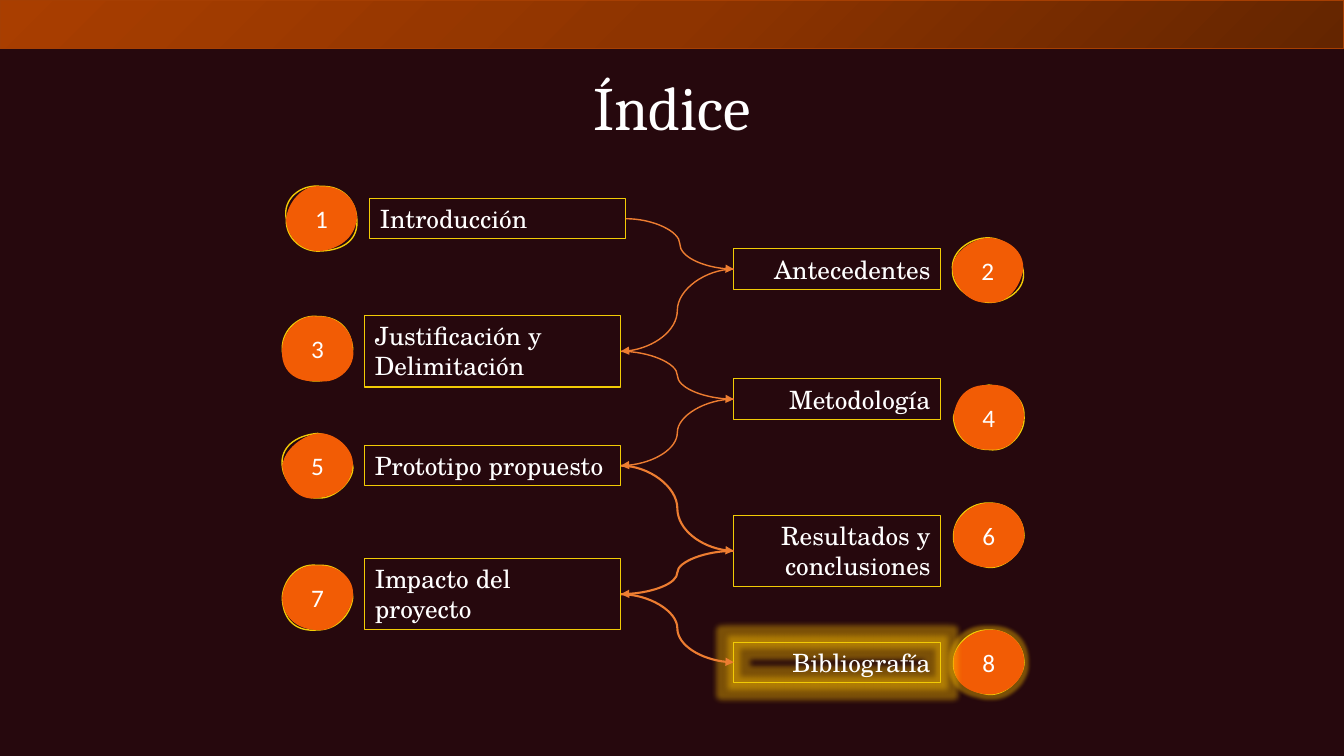
from lxml import etree
from pptx import Presentation
from pptx.dml.color import RGBColor
from pptx.enum.shapes import MSO_CONNECTOR as CONNECTOR, MSO_SHAPE as SHAPE
from pptx.enum.text import MSO_ANCHOR as ANCHOR, MSO_AUTO_SIZE as AUTO, PP_ALIGN as ALIGN
from pptx.oxml import parse_xml
from pptx.oxml.ns import nsdecls, qn
from pptx.util import Emu, Pt

PX = 9144
SLIDE_W, SLIDE_H = 12192000, 750 * PX
BACK, WHITE, ORANGE, YELLOW, ARROW = "26080D", "FFFFFF", "F25C05", "F2CB05", "ED7D31"
BAND_LINE, GLOW = "A63F03", "FFC000"
BAND_STOPS = [(0, "642500"), (50, "8E3400"), (100, "A93E00")]
TITLE = "Índice"

# label, box (left, top, width, height), badge (left, top), glow
ENTRIES = [
    ("Introducción", (367, 197, 254, 40), (284, 185), False),
    ("Antecedentes", (728, 247, 205, 40), (945, 236), False),
    ("Justificación y Delimitación", (362, 313, 254, 71), (280, 314), False),
    ("Metodología", (728, 376, 205, 40), (946, 382), False),
    ("Prototipo propuesto", (362, 442, 254, 40), (280, 430), False),
    ("Resultados y conclusiones", (728, 511, 205, 71), (946, 499), False),
    ("Impacto del proyecto", (362, 554, 254, 71), (280, 561), False),
    ("Bibliografía", (728, 637, 205, 40), (946, 625), True),
]
ARROW_WIDTHS = [1, 1, 1, 1, 1.5, 1.5, 1.5]

BADGE_W, BADGE_H = 70, 64
ANCHORS = [(0, 32), (35, 0), (70, 32), (35, 64)]
# control points of the hand-drawn outline and of the fill, two per quarter
ROUND = ([(0, 19), (12, 0), (54, 0), (69, 12), (70, 46), (53, 65), (14, 61), (-1, 49)],
         [(-1, 17), (17, 0), (53, -2), (71, 13), (71, 48), (54, 64), (17, 63), (-1, 54)])
BLOBS = [
    ([(-4, 13), (14, -3), (56, -1), (69, 14), (72, 52), (58, 63), (17, 66), (-1, 52)],
     [(1, 17), (16, -3), (53, -1), (71, 12), (68, 52), (51, 62), (14, 66), (-1, 47)]),
    ([(-2, 14), (17, 0), (52, 0), (67, 15), (74, 52), (52, 65), (20, 63), (-1, 50)],
     [(-2, 17), (18, 1), (55, 0), (72, 14), (67, 49), (54, 67), (17, 66), (2, 49)]),
    ([(0, 12), (18, -2), (57, 0), (68, 13), (68, 49), (57, 63), (16, 65), (0, 48)],
     [(0, 17), (16, -3), (53, -2), (71, 14), (74, 49), (56, 68), (12, 66), (-2, 53)]),
    ([(3, 16), (16, 3), (53, 2), (71, 11), (71, 47), (55, 67), (16, 64), (1, 51)],
     [(2, 12), (14, -1), (57, -2), (70, 13), (67, 52), (55, 66), (16, 65), (3, 52)]),
    ([(-2, 14), (13, 2), (56, 3), (66, 16), (72, 46), (52, 66), (17, 65), (1, 47)],
     [(2, 16), (20, 2), (51, -2), (72, 15), (68, 51), (56, 62), (18, 68), (2, 52)]),
    ROUND,
    ([(1, 15), (15, -3), (57, -2), (69, 15), (68, 49), (54, 64), (13, 66), (1, 54)],
     [(1, 15), (16, -2), (54, -1), (73, 12), (68, 46), (53, 66), (13, 64), (0, 49)]),
    ROUND,
]


def rgb(value):
    """Turn a hex string into a colour."""
    return RGBColor.from_string(value)


def px(*values):
    """Turn px lengths into EMU."""
    return [Emu(v * PX) for v in values]


def stroke(sp, color, width):
    """Set the line of a shape."""
    sp.line.color.rgb = rgb(color)
    sp.line.width = Pt(width)


def write(sp, text, size, font, align, anchor):
    """Put one formatted paragraph into a shape."""
    tf = sp.text_frame
    tf.word_wrap = True
    tf.vertical_anchor = anchor
    tf.text = text
    p = tf.paragraphs[0]
    p.alignment = align
    f = p.runs[0].font
    f.size, f.name, f.color.rgb = Pt(size), font, rgb(WHITE)
    return p


def add_glow(sp, radius):
    """Give a shape a translucent glow."""
    sp.shadow.inherit = False
    effects = sp._element.spPr.find(qn("a:effectLst"))
    effects.append(parse_xml(
        f'<a:glow {nsdecls("a")} rad="{radius}"><a:srgbClr val="{GLOW}">'
        '<a:alpha val="40000"/></a:srgbClr></a:glow>'))


def add_band(slide):
    """Draw the gradient band along the top."""
    sp = slide.shapes.add_shape(SHAPE.RECTANGLE, 0, 0, SLIDE_W, 48 * PX)
    sp.shadow.inherit = False
    stroke(sp, BAND_LINE, 1)
    stops = "".join(f'<a:gs pos="{pos * 1000}"><a:srgbClr val="{color}"/></a:gs>'
                    for pos, color in BAND_STOPS)
    sp._element.spPr.find(qn("a:prstGeom")).addnext(parse_xml(
        f'<a:gradFill {nsdecls("a")}><a:gsLst>{stops}</a:gsLst>'
        '<a:lin ang="13500000" scaled="1"/></a:gradFill>'))


def curve_path(controls, hidden):
    """Build one closed curved path without its fill or its stroke."""
    def points(pts):
        return "".join(f'<a:pt x="{x}" y="{y}"/>' for x, y in pts)
    ends = ANCHORS[1:] + ANCHORS[:1]
    curves = "".join(
        f"<a:cubicBezTo>{points([*controls[2 * i:2 * i + 2], end])}</a:cubicBezTo>"
        for i, end in enumerate(ends))
    return parse_xml(
        f'<a:path {nsdecls("a")} w="{BADGE_W}" h="{BADGE_H}" {hidden}>'
        f"<a:moveTo>{points(ANCHORS[:1])}</a:moveTo>{curves}<a:close/></a:path>")


def add_badge(slide, number, corner, blob):
    """Draw a numbered, hand-drawn circle."""
    builder = slide.shapes.build_freeform(*ANCHORS[0], scale=PX)
    builder.add_line_segments(ANCHORS[1:], close=True)
    sp = builder.convert_to_shape(*px(*corner))
    paths = next(sp._element.iter(qn("a:pathLst")))
    paths[:] = [curve_path(blob[0], 'fill="none"'), curve_path(blob[1], 'stroke="0"')]
    sp.shadow.inherit = False
    sp.fill.solid()
    sp.fill.fore_color.rgb = rgb(ORANGE)
    stroke(sp, YELLOW, 1)
    write(sp, str(number), 18, "Calibri", ALIGN.CENTER, ANCHOR.MIDDLE)
    return sp


def add_label(slide, text, box, align):
    """Draw an outlined text box."""
    sp = slide.shapes.add_textbox(*px(*box))
    stroke(sp, YELLOW, 0.75)
    write(sp, text, 18, "TeX Gyre Schola", align, ANCHOR.TOP)
    sp.text_frame.auto_size = AUTO.SHAPE_TO_FIT_TEXT
    return sp


def add_arrow(slide, start, end, width):
    """Join the facing sides of two boxes with a curved arrow."""
    c = slide.shapes.add_connector(CONNECTOR.CURVE, 0, 0, 0, 0)
    left_side, right_side = 1, 3
    rightward = start.left < end.left
    c.begin_connect(start, right_side if rightward else left_side)
    c.end_connect(end, left_side if rightward else right_side)
    stroke(c, ARROW, width)
    etree.SubElement(c.line._get_or_add_ln(), qn("a:tailEnd"), type="triangle")
    etree.SubElement(c._element.spPr, qn("a:effectLst"))


def main():
    """Build the index slide."""
    prs = Presentation()
    prs.slide_width, prs.slide_height = SLIDE_W, SLIDE_H
    s = prs.slides.add_slide(prs.slide_layouts[6])
    s.background.fill.solid()
    s.background.fill.fore_color.rgb = rgb(BACK)
    add_band(s)
    title = s.shapes.add_textbox(*px(92, 52, 1150, 115))
    write(title, TITLE, 44, "Cambria", ALIGN.CENTER, ANCHOR.MIDDLE).line_spacing = 0.9

    labels = []
    for i, (text, box, corner, glow) in enumerate(ENTRIES):
        badge = add_badge(s, i + 1, corner, BLOBS[i])
        label = add_label(s, text, box, ALIGN.RIGHT if i % 2 else ALIGN.LEFT)
        if glow:
            add_glow(badge, 63500)
            add_glow(label, 101600)
        labels.append(label)
    for start, end, width in zip(labels, labels[1:], ARROW_WIDTHS):
        add_arrow(s, start, end, width)
    prs.save("out.pptx")


if __name__ == "__main__":
    main()
